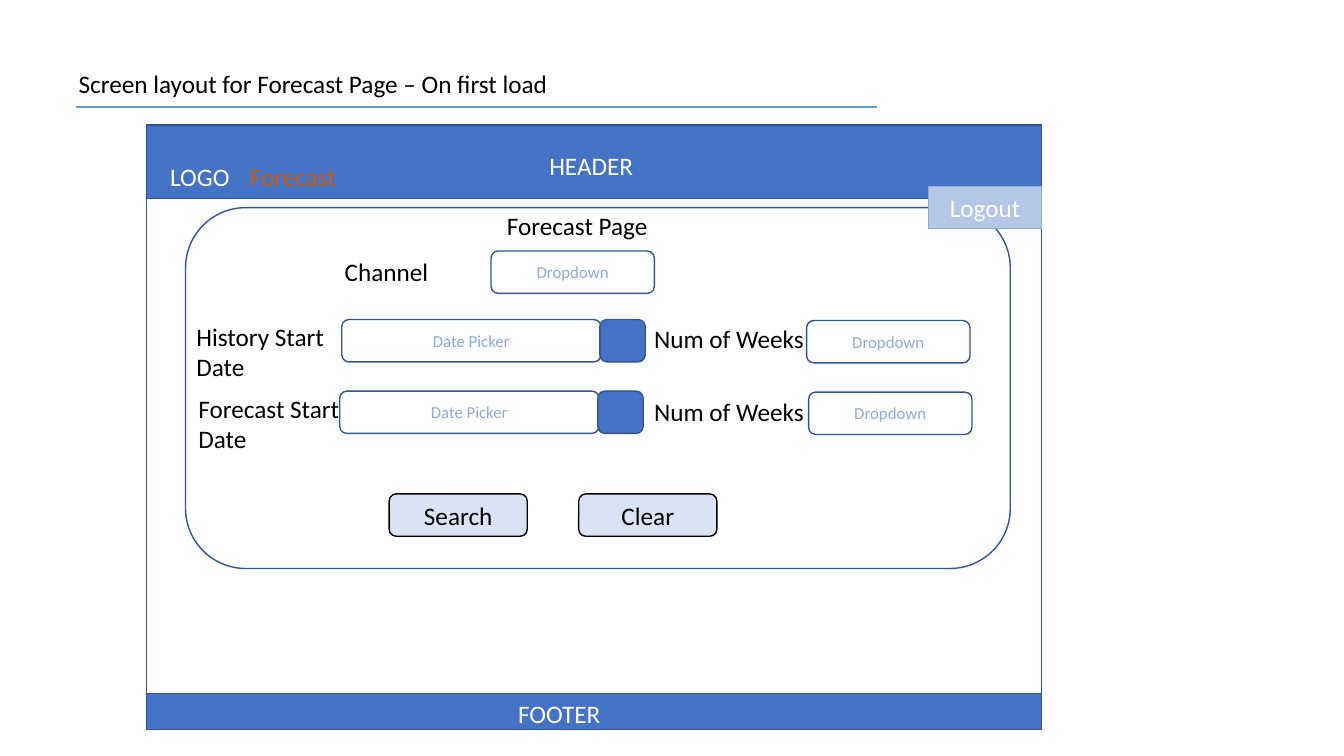
from lxml import etree
from pptx import Presentation
from pptx.dml.color import RGBColor
from pptx.enum.shapes import MSO_CONNECTOR, MSO_SHAPE
from pptx.enum.text import MSO_ANCHOR, MSO_AUTO_SIZE, PP_ALIGN
from pptx.oxml.ns import qn
from pptx.util import Pt

PX = 9144
RECT, ROUNDED = MSO_SHAPE.RECTANGLE, MSO_SHAPE.ROUNDED_RECTANGLE
LEFT, CENTER = PP_ALIGN.LEFT, PP_ALIGN.CENTER
BLACK = RGBColor(0x00, 0x00, 0x00)
WHITE = RGBColor(0xFF, 0xFF, 0xFF)
BLUE = RGBColor(0x44, 0x72, 0xC4)
NAVY = RGBColor(0x32, 0x54, 0x91)
HINT = RGBColor(0x8F, 0xAA, 0xDC)
PALE = RGBColor(0xDA, 0xE3, 0xF3)
LIGHT = RGBColor(0xB4, 0xC7, 0xE7)
ORANGE = RGBColor(0xC5, 0x5A, 0x11)
RULE = RGBColor(0x5B, 0x9B, 0xD5)

prs = Presentation()
prs.slide_width, prs.slide_height = 1333 * PX, 750 * PX
slide = prs.slides.add_slide(prs.slide_layouts[6])


def write(frame, text, size, color, align):
    paragraph = frame.paragraphs[0]
    paragraph.alignment = align
    run = paragraph.add_run()
    run.text = text
    run.font.name = "Calibri"
    run.font.size = Pt(size)
    run.font.color.rgb = color


def add_box(kind, place, fill=None, line=NAVY, text="", size=18, color=BLACK):
    box = slide.shapes.add_shape(kind, *(n * PX for n in place))
    box.shadow.inherit = False
    if fill is None:
        box.fill.background()
    else:
        box.fill.solid()
        box.fill.fore_color.rgb = fill
    box.line.color.rgb = line
    box.line.width = Pt(1)
    if text:
        box.text_frame.vertical_anchor = MSO_ANCHOR.MIDDLE
        write(box.text_frame, text, size, color, CENTER)


add_box(RECT, (145, 124, 888, 599))
add_box(RECT, (145, 124, 888, 73), BLUE)
add_box(RECT, (145, 688, 888, 36), BLUE)
add_box(ROUNDED, (184, 206, 818, 358))

for left, caption in ((386, "Search"), (574, "Clear")):
    add_box(ROUNDED, (left, 490, 137, 42), PALE, BLACK, caption)

for picker_left, button_left, top in ((339, 595, 317), (337, 593, 388)):
    add_box(ROUNDED, (picker_left, top, 257, 42), text="Date Picker", size=12, color=HINT)
    add_box(ROUNDED, (button_left, top, 45, 42), BLUE)

for left, top in ((487, 249), (800, 318), (802, 389)):
    add_box(ROUNDED, (left, top, 162, 42), text="Dropdown", size=12, color=HINT)

add_box(RECT, (921, 185, 112, 42), LIGHT, HINT, "Logout", color=WHITE)

labels = (
    ("Forecast Page", (451, 204, 243, 40), BLACK, CENTER, True),
    ("Channel", (332, 249, 173, 40), BLACK, LEFT, True),
    ("History Start Date", (185, 314, 173, 71), BLACK, LEFT, True),
    ("Num of Weeks", (639, 316, 173, 40), BLACK, LEFT, True),
    ("Forecast Start Date", (187, 385, 173, 71), BLACK, LEFT, True),
    ("Num of Weeks", (639, 388, 173, 40), BLACK, LEFT, True),
    ("FOOTER", (504, 688, 190, 40), WHITE, LEFT, True),
    ("HEADER", (535, 144, 114, 40), WHITE, LEFT, True),
    ("LOGO", (159, 155, 94, 42), WHITE, LEFT, True),
    ("Forecast", (238, 155, 122, 40), ORANGE, LEFT, True),
    ("Screen layout for Forecast Page – On first load", (63, 63, 495, 40), BLACK, CENTER, False),
)
for text, place, color, align, wrap in labels:
    frame = slide.shapes.add_textbox(*(n * PX for n in place)).text_frame
    frame.word_wrap = wrap
    frame.auto_size = MSO_AUTO_SIZE.SHAPE_TO_FIT_TEXT
    write(frame, text, 18, color, align)

title_rule = slide.shapes.add_connector(
    MSO_CONNECTOR.STRAIGHT, 75 * PX, 106 * PX, 870 * PX, 106 * PX)
title_rule.line.color.rgb = RULE
title_rule.line.width = Pt(1.5)
etree.SubElement(title_rule._element.spPr, qn("a:effectLst"))

prs.save("out.pptx")
